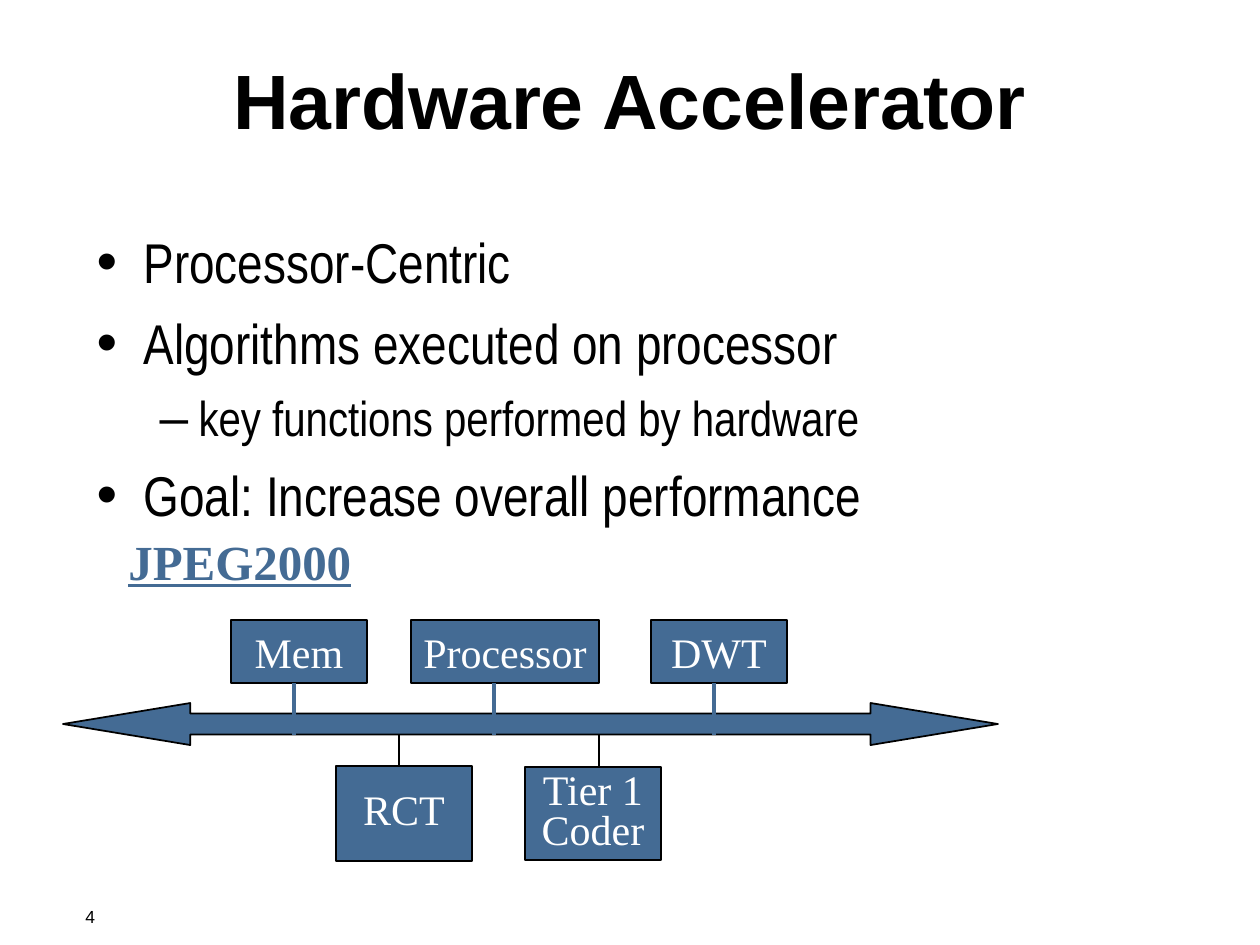
"""Build the Hardware Accelerator slide with its bus diagram."""
from lxml import etree
from pptx import Presentation, util as u
from pptx.dml.color import RGBColor
from pptx.enum import shapes, text
from pptx.oxml.ns import qn

SCALE = 914400 / 126
BLUE, BLACK, WHITE = "446B94", "000000", "FFFFFF"


def px(*lengths):
    return [u.Emu(round(n * SCALE)) for n in lengths]


def style(font, name, size, color, bold=False):
    font.name, font.size, font.bold = name, u.Pt(size), bold
    font.color.rgb = RGBColor.from_string(color)


prs = Presentation()
prs.slide_width, prs.slide_height = px(1260, 945)
s = prs.slides.add_slide(prs.slide_layouts[1])

title, body = s.placeholders
title.left, title.top, title.width, title.height = px(84, 20, 1092, 158)
title.text_frame.text = "Hardware Accelerator"
title.text_frame.auto_size = text.MSO_AUTO_SIZE.NONE
p = title.text_frame.paragraphs[0]
p.alignment = text.PP_ALIGN.CENTER
style(p.runs[0].font, "Arial", 44, BLACK, True)

body.left, body.top, body.width, body.height = px(84, 221, 1092, 620)
tf = body.text_frame
tf.auto_size = text.MSO_AUTO_SIZE.NONE
items = [
    ("Processor-Centric", 0),
    ("Algorithms executed on processor", 0),
    ("key functions performed by hardware", 1),
    ("Goal: Increase overall performance", 0),
]
levels = [(32, 8, 47, -47, "•"), (28, 7, 102, -39, "–")]
for i, (words, level) in enumerate(items):
    size, before, margin, indent, bullet = levels[level]
    p = tf.add_paragraph() if i else tf.paragraphs[0]
    p.text, p.level = words, level
    p.space_before = u.Pt(before if i else 0)
    pPr = p._p.get_or_add_pPr()
    for key, value in zip(("marL", "indent"), px(margin, indent)):
        pPr.set(key, str(int(value)))
    color = etree.SubElement(pPr, qn("a:buClr"))
    etree.SubElement(color, qn("a:srgbClr"), val=BLACK)
    etree.SubElement(pPr, qn("a:buSzPct"), val="105000")
    etree.SubElement(pPr, qn("a:buFont"), typeface="Arial")
    etree.SubElement(pPr, qn("a:buChar"), char=bullet)
    style(p.runs[0].font, "Arial Narrow", size, BLACK)

labels = [
    ("JPEG2000", (116, 525, 252, 72), "Times New Roman", 28, BLUE, True),
    ("4", (73, 900, 305, 42), "Arial", 10, BLACK, False),
]
for words, box, name, size, color, strong in labels:
    tf = s.shapes.add_textbox(*px(*box)).text_frame
    tf.text, tf.word_wrap = words, True
    r = tf.paragraphs[0].runs[0]
    style(r.font, name, size, color, strong)
    r.font.underline = strong

rect = shapes.MSO_SHAPE.RECTANGLE
blocks = [
    (rect, "Processor", (411, 620, 188, 63), 1),
    (rect, "Mem", (231, 620, 136, 63), 1),
    (rect, "DWT", (651, 620, 136, 63), 1),
    (rect, "Tier 1 Coder", (525, 767, 136, 93), 0.8),
    (rect, "RCT", (336, 766, 136, 95), 0.8),
    (shapes.MSO_SHAPE.LEFT_RIGHT_ARROW, "", (63, 703, 935, 42), 1),
]
for kind, words, box, spacing in blocks:
    sp = s.shapes.add_shape(kind, *px(*box))
    sp.shadow.inherit = False
    sp.fill.solid()
    sp.fill.fore_color.rgb = RGBColor.from_string(BLUE)
    sp.line.color.rgb = RGBColor.from_string(BLACK)
    sp.line.width = u.Pt(1)
    if not words:
        sp.adjustments[0], sp.adjustments[1] = 0.5, 3.03
        continue
    tf = sp.text_frame
    tf.text, tf.word_wrap = words, words != "Processor"
    tf.vertical_anchor = text.MSO_ANCHOR.MIDDLE
    p = tf.paragraphs[0]
    p.alignment = text.PP_ALIGN.CENTER
    p.line_spacing = spacing
    style(p.runs[0].font, "Times New Roman", 24, WHITE)

links = [
    ((294, 494, 714), 683, 735, BLUE, 2.25),
    ((399, 599), 735, 766, BLACK, 1.5),
]
for columns, top, bottom, color, width in links:
    for x in columns:
        link = s.shapes.add_connector(
            shapes.MSO_CONNECTOR.STRAIGHT, *px(x, top, x, bottom))
        link.line.color.rgb = RGBColor.from_string(color)
        link.line.width = u.Pt(width)
        etree.SubElement(link._element.spPr, qn("a:effectLst"))

prs.save("out.pptx")
